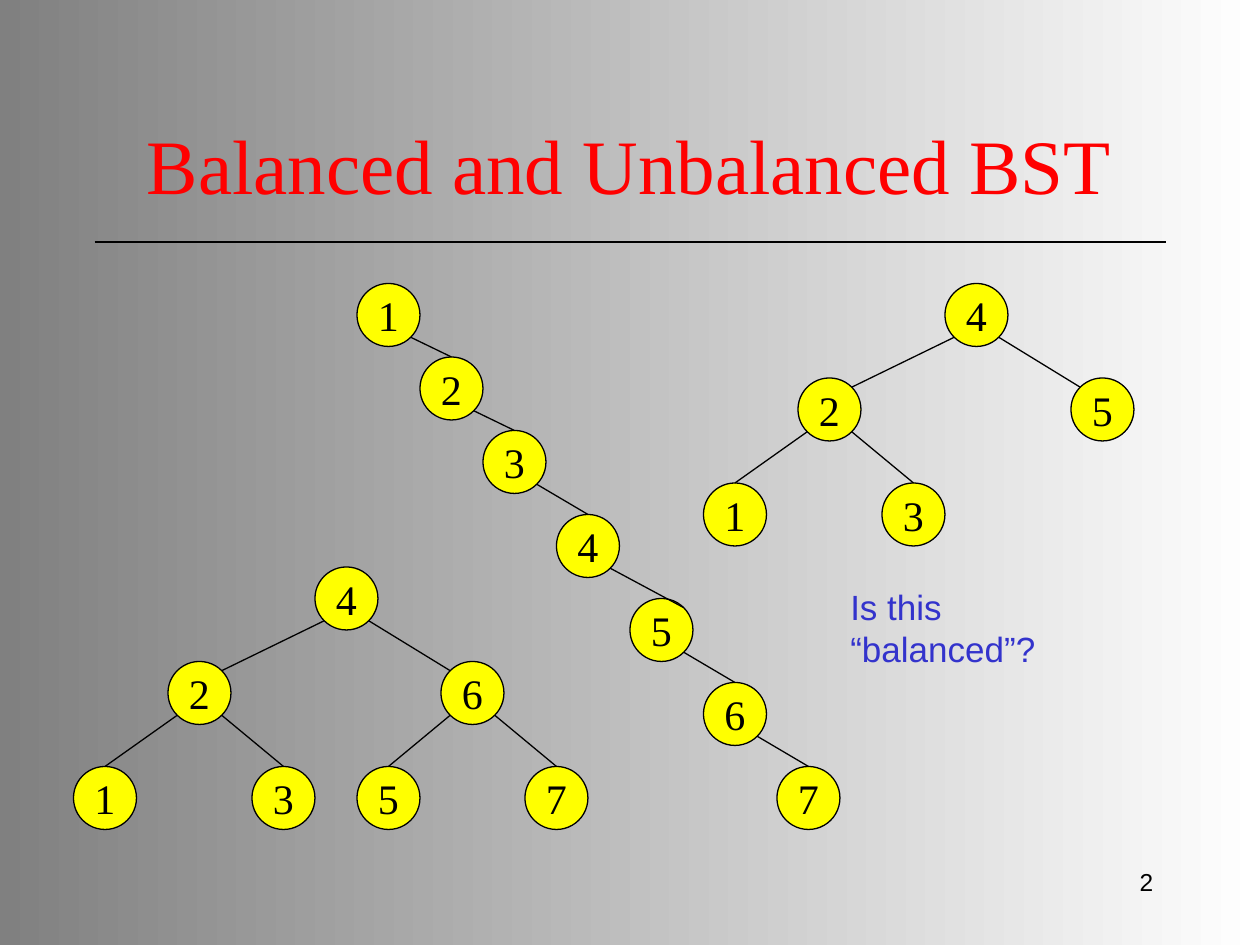
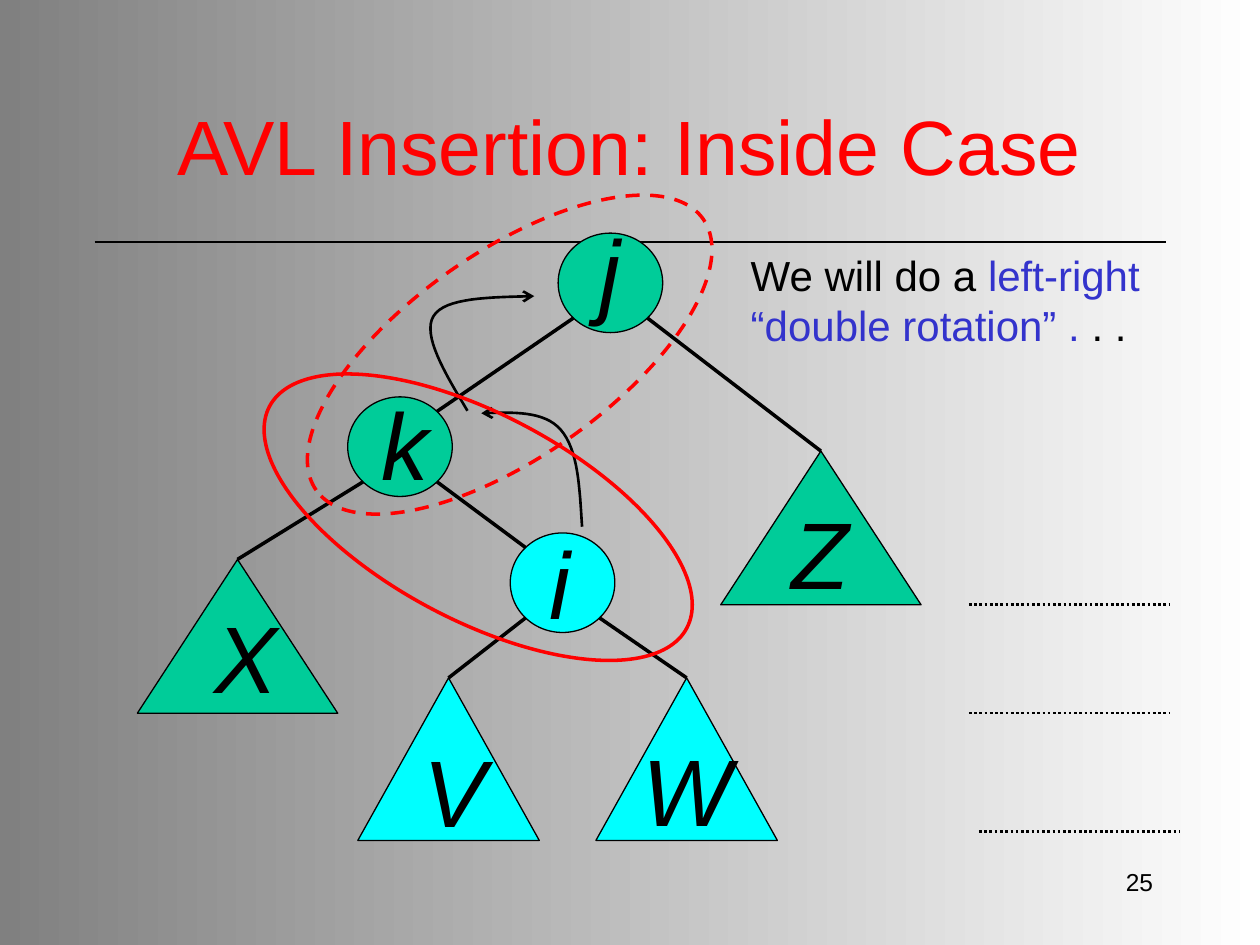
import pptx
import pptx.dml.color
import pptx.enum.dml
import pptx.enum.shapes
import pptx.enum.text
import pptx.oxml.ns
import pptx.util
import lxml.etree

WIDTH, HEIGHT = 10, 7.5
UNIT = 1 / 12
NODE_SIZE = 6 * UNIT
DIAGONAL = 0.5 ** 0.5

BLACK, RED, BLUE = "000000", "FF0000", "3333CC"
YELLOW, GREEN, CYAN = "FFFF00", "00CC99", "00FFFF"
BACKDROP = ("FFFFFF", "808080")
SANS, SERIF = "Arial", "Times New Roman"

Align = pptx.enum.text.PP_ALIGN
Anchor = pptx.enum.text.MSO_ANCHOR
Shape = pptx.enum.shapes.MSO_SHAPE
Dash = pptx.enum.dml.MSO_LINE

BALANCED = {
    "number": "2",
    "title": "Balanced and Unbalanced BST",
    "font": SERIF,
    "title_place": (0.58, 0.67, 8.83, 1.25),
    "question": [[("Is this “balanced”?", BLUE)]],
}
HEAP_SLOTS = [(0, 0), (-14, 9), (12, 9), (-23, 19), (-6, 19), (4, 19), (20, 19)]
TREES = [((90, 27), "42513"), ((30, 54), "4261357")]
CHAIN = [(34, 27), (40, 34), (46, 41), (53, 49), (60, 57), (67, 65), (74, 73)]
CHAIN_SIDE_ENTRIES = {4: 1}

INSIDE_CASE = {
    "number": "25",
    "title": "AVL Insertion: Inside Case",
    "font": SANS,
    "title_place": (0.73, 0.71, 8.54, 0.88),
    "remark": [
        [("We will do a ", BLACK), ("left-right", BLUE)],
        [("“double rotation” .", BLUE), (" . .", BLACK)],
    ],
}
KINDS = {
    "node": (Shape.OVAL, 0.83, 0.79),
    "wide": (Shape.ISOSCELES_TRIANGLE, 1.59, 1.22),
    "tall": (Shape.ISOSCELES_TRIANGLE, 1.44, 1.29),
}
SUBTREES = {
    "j": ("node", (4.43, 1.85), GREEN, (4.66, 1.64)),
    "k": ("node", (2.76, 3.15), GREEN, (2.93, 3.01)),
    "X": ("wide", (1.09, 4.44), GREEN, (1.6, 4.7)),
    "V": ("tall", (2.84, 5.38), CYAN, (3.26, 5.77)),
    "Z": ("wide", (5.72, 3.58), GREEN, (6.18, 3.88)),
    "W": ("tall", (4.73, 5.38), CYAN, (5, 5.76)),
    "i": ("node", (4.05, 4.23), CYAN, (4.26, 4.12)),
}
BRANCHES = [("j", "k", -1, 1), ("j", "Z", 1, 0), ("k", "X", -1, 0),
            ("k", "i", 1, -1), ("i", "V", -1, 0), ("i", "W", 1, 0)]
LEVELS = [(7.69, 4.8), (7.69, 5.66), (7.77, 6.6)]
LEVEL_LENGTH = 1.59
ROTATION_ARROWS = [
    [(4.62, 4.18), (4.6, 3.87), (4.59, 3.57), (4.45, 3.41),
     (4.32, 3.26), (4.07, 3.27), (3.82, 3.28)],
    [(3.71, 3.26), (3.53, 2.96), (3.35, 2.66), (3.44, 2.51),
     (3.53, 2.36), (3.89, 2.36), (4.24, 2.35)],
]
CURVE_STEPS = 16
ROTATION_RINGS = [((1.92, 3.29), 28, None), ((2.17, 2), 325, Dash.DASH)]
RING_SIZE = (3.75, 1.63)


def colour(value):
    return pptx.dml.color.RGBColor.from_string(value)


def inches(values):
    return [pptx.util.Inches(value) for value in values]


def style_line(line, width, tint=BLACK, dash=None):
    line.color.rgb = colour(tint)
    line.width = pptx.util.Pt(width)
    if dash is not None:
        line.dash_style = dash


def add_line(page, start, end, width=0.75, dash=None):
    line = page.shapes.add_connector(
        pptx.enum.shapes.MSO_CONNECTOR.STRAIGHT, *inches((*start, *end)))
    style_line(line.line, width, dash=dash)
    properties = line._element.spPr
    lxml.etree.SubElement(properties, pptx.oxml.ns.qn("a:effectLst"))
    return line


def add_outline(page, kind, place, fill=None, width=0.75, tint=BLACK, dash=None):
    shape = page.shapes.add_shape(kind, *inches(place))
    shape.shadow.inherit = False
    if fill:
        shape.fill.solid()
        shape.fill.fore_color.rgb = colour(fill)
    else:
        shape.fill.background()
    style_line(shape.line, width, tint, dash)
    return shape


def write(box, lines, size, font=SANS, align=Align.LEFT, anchor=Anchor.TOP,
          wrap=True, italic=False):
    frame = box.text_frame
    frame.word_wrap = wrap
    frame.vertical_anchor = anchor
    for index, spans in enumerate(lines):
        para = frame.add_paragraph() if index else frame.paragraphs[0]
        para.alignment = align
        para.font.size = pptx.util.Pt(size)
        para.font.name = font
        para.font.italic = italic
        for text, tint in spans:
            span = para.add_run()
            span.text = text
            span.font.color.rgb = colour(tint)


def add_text(page, place, lines, size, **style):
    write(page.shapes.add_textbox(*inches(place)), lines, size, **style)


def diagonal_point(shape, side, upper):
    left, top, width, height = (
        pptx.util.Length(value).inches
        for value in (shape.left, shape.top, shape.width, shape.height))
    rise = -1 if upper else 1
    return (left + width / 2 * (1 + side * DIAGONAL),
            top + height / 2 * (1 + rise * DIAGONAL))


def link(page, parent, child, side, entry=0, width=0.75):
    line = add_line(page, diagonal_point(parent, side, False),
                    diagonal_point(child, entry, True), width)
    if entry == 0:
        line.end_connect(child, 0)


def start_page(deck, content):
    page = deck.slides.add_slide(deck.slide_layouts[6])
    fill = page.background.fill
    fill.gradient()
    fill.gradient_angle = 180
    for stop, tint in zip(fill.gradient_stops, BACKDROP):
        stop.color.rgb = colour(tint)
    add_line(page, (0.75, 1.92), (WIDTH - 0.75, 1.92))
    add_text(page, (7.17, 6.83, 2.08, 0.5), [[(content["number"], BLACK)]], 14,
             align=Align.RIGHT)
    add_text(page, content["title_place"], [[(content["title"], RED)]], 44,
             font=content["font"], align=Align.CENTER, anchor=Anchor.MIDDLE)
    return page


def add_key(page, column, row, key):
    node = add_outline(page, Shape.OVAL,
                       (column * UNIT, row * UNIT, NODE_SIZE, NODE_SIZE), YELLOW)
    write(node, [[(key, BLACK)]], 24, font=SERIF, align=Align.CENTER,
          anchor=Anchor.MIDDLE, wrap=False)
    return node


def build_balanced(deck):
    page = start_page(deck, BALANCED)
    for (column, row), keys in TREES:
        nodes = [add_key(page, column + across, row + down, key)
                 for (across, down), key in zip(HEAP_SLOTS, keys)]
        for index in range(1, len(nodes)):
            side = -1 if index % 2 else 1
            entry = -side if index < 3 else 0
            link(page, nodes[(index - 1) // 2], nodes[index], side, entry)
    chain = [add_key(page, column, row, str(index + 1))
             for index, (column, row) in enumerate(CHAIN)]
    for index in range(1, len(chain)):
        link(page, chain[index - 1], chain[index], 1,
             CHAIN_SIDE_ENTRIES.get(index, 0))
    add_text(page, (6.65, 4.6, 2.47, 0.44), BALANCED["question"], 20, wrap=False)


def curve_point(controls, share):
    rest = 1 - share
    weights = (rest ** 3, 3 * rest ** 2 * share, 3 * rest * share ** 2, share ** 3)
    return tuple(sum(weight * point[axis] for weight, point in zip(weights, controls))
                 for axis in (0, 1))


def add_curved_arrow(page, controls):
    points = [curve_point(controls[first:first + 4], step / CURVE_STEPS)
              for first in range(0, len(controls) - 1, 3)
              for step in range(1, CURVE_STEPS + 1)]
    builder = page.shapes.build_freeform(*inches(controls[0]), scale=1.0)
    builder.add_line_segments([inches(point) for point in points], close=False)
    arrow = builder.convert_to_shape()
    arrow.shadow.inherit = False
    arrow.fill.background()
    style_line(arrow.line, 1.5)
    outline = arrow.line._get_or_add_ln()
    lxml.etree.SubElement(outline, pptx.oxml.ns.qn("a:tailEnd"), type="arrow")


def build_inside_case(deck):
    page = start_page(deck, INSIDE_CASE)
    parts = {}
    for name, (kind, corner, fill, _) in SUBTREES.items():
        shape, width, height = KINDS[kind]
        parts[name] = add_outline(page, shape, (*corner, width, height), fill)
    for parent, child, side, entry in BRANCHES:
        link(page, parts[parent], parts[child], side, entry, 2)
    for name, (_, _, _, corner) in SUBTREES.items():
        add_text(page, (*corner, 0.51, 1), [[(name, BLACK)]], 54,
                 anchor=Anchor.BOTTOM, italic=True)
    for left, top in LEVELS:
        add_line(page, (left, top), (left + LEVEL_LENGTH, top), 1.5, Dash.ROUND_DOT)
    add_text(page, (5.86, 1.93, 3.38, 0.9), INSIDE_CASE["remark"], 24, wrap=False)
    for controls in ROTATION_ARROWS:
        add_curved_arrow(page, controls)
    for corner, angle, dash in ROTATION_RINGS:
        ring = add_outline(page, Shape.OVAL, (*corner, *RING_SIZE),
                           width=2, tint=RED, dash=dash)
        ring.rotation = angle


def main():
    deck = pptx.Presentation()
    deck.slide_width, deck.slide_height = inches((WIDTH, HEIGHT))
    build_balanced(deck)
    build_inside_case(deck)
    deck.save("out.pptx")


if __name__ == "__main__":
    main()
